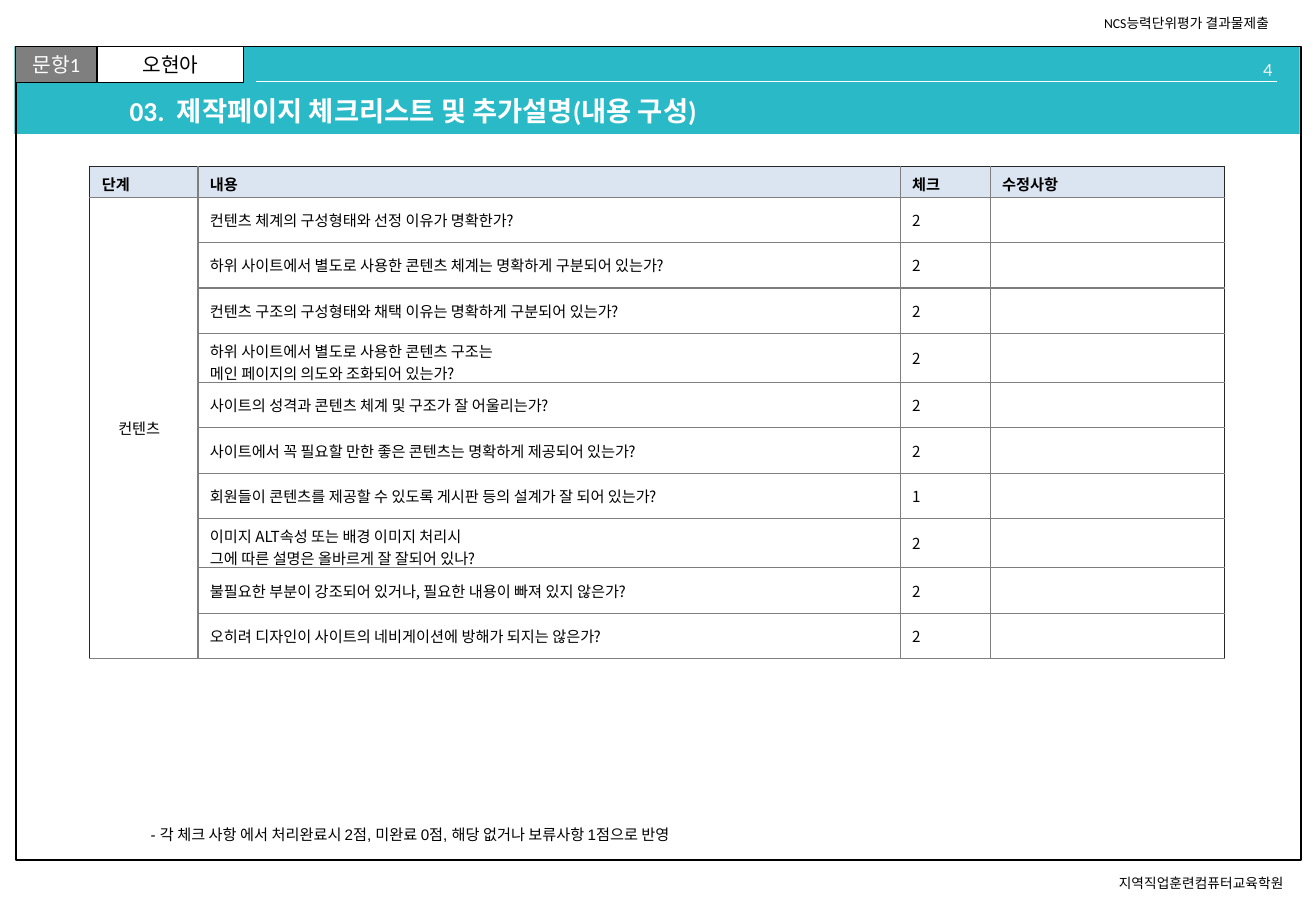
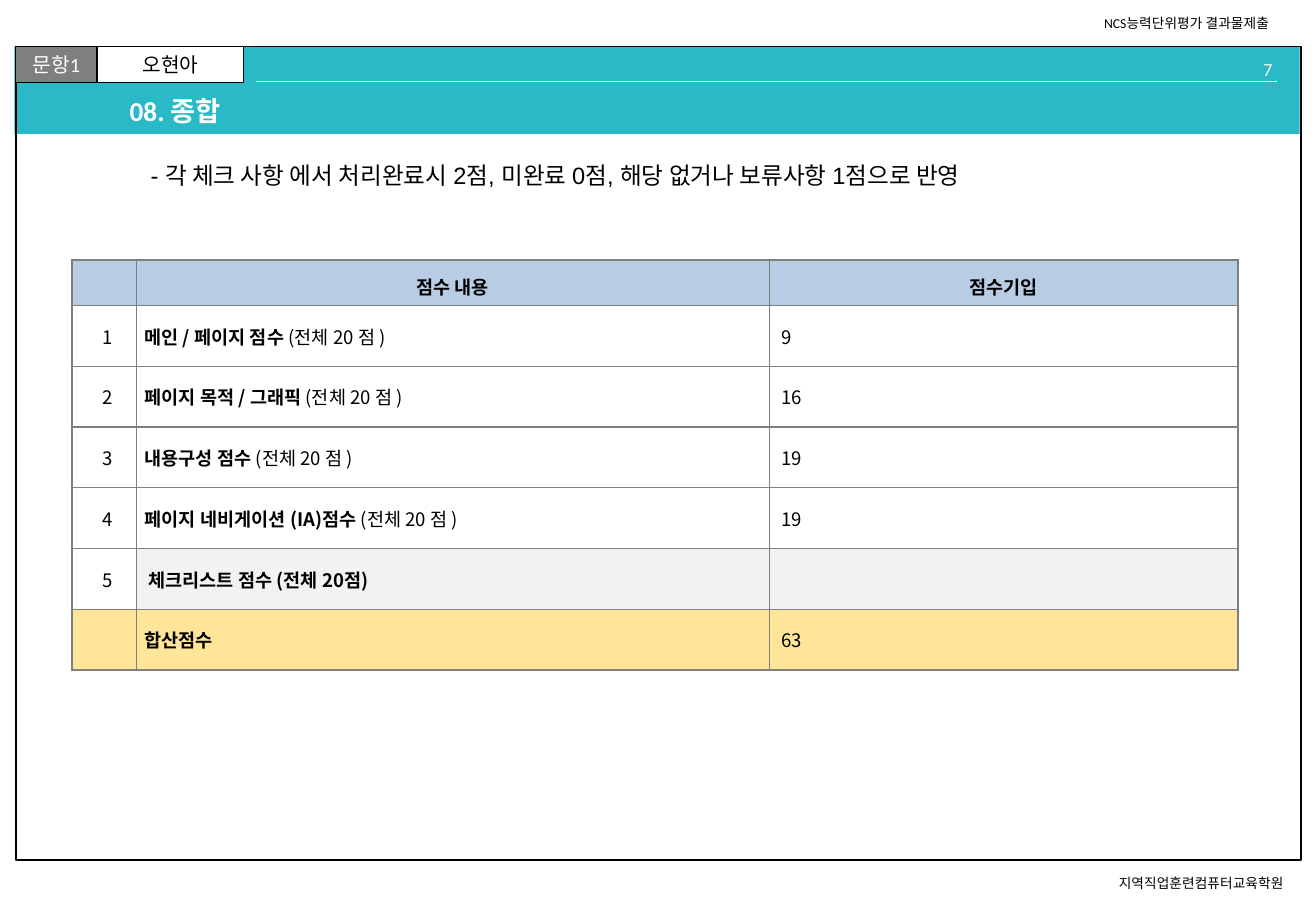
from dataclasses import dataclass

from lxml import etree
from pptx import Presentation
from pptx.dml.color import RGBColor
from pptx.enum import shapes, text
from pptx.oxml import ns
from pptx.util import Cm, Pt

LEFT, CENTER, RIGHT = text.PP_ALIGN.LEFT, text.PP_ALIGN.CENTER, text.PP_ALIGN.RIGHT
TOP, MIDDLE, BOTTOM = text.MSO_ANCHOR.TOP, text.MSO_ANCHOR.MIDDLE, text.MSO_ANCHOR.BOTTOM


@dataclass(frozen=True)
class Theme:
    teal: str = "2AB9C7"
    black: str = "000000"
    white: str = "FFFFFF"
    gray: str = "7F7F7F"
    edge: str = "262626"
    pale: str = "F2F2F2"
    check_head: str = "DBE5F1"
    score_head: str = "B8CCE4"
    total: str = "FEE599"
    body: str = "Calibri"
    note: str = "Arial"
    grid: str = "Noto Sans CJK KR"
    title_size: float = 16.2
    note_size: float = 14
    chip_size: float = 12
    page_size: float = 11
    score_size: float = 11
    check_size: float = 9
    small_size: float = 8.1
    thin: float = 0.75
    thick: float = 1.5


T = Theme()
FRAME = (0.33, 0.97, 26.87, 17.02)
INSETS = (0.25, 0.13, 0.25, 0.13)
NOTE = "- 각 체크 사항 에서 처리완료시 2점, 미완료 0점, 해당 없거나 보류사항 1점으로 반영"


def rgb(color):
    return RGBColor.from_string(color)


def write(tf, content, size, font=T.body, color=T.black, bold=False, align=LEFT, spacing=None):
    tf.word_wrap = True
    lines = [[(line, bold)] for line in content.split("\n")] if isinstance(content, str) else [content]
    for i, runs in enumerate(lines):
        p = tf.add_paragraph() if i else tf.paragraphs[0]
        p.alignment = align
        if spacing:
            p.line_spacing = spacing
        for words, strong in runs:
            if not words:
                etree.SubElement(p._p, ns.qn("a:endParaRPr"), sz=str(int(size * 100)))
                continue
            r = p.add_run()
            r.text = words
            r.font.size, r.font.name, r.font.bold = Pt(size), font, strong
            r.font.color.rgb = rgb(color)
            if font == T.grid:
                etree.SubElement(r.font._element, ns.qn("a:ea"), typeface=font)


def set_insets(target, insets=INSETS):
    target.margin_left, target.margin_top, target.margin_right, target.margin_bottom = map(Cm, insets)


def add_text(s, box, content, size, anchor=TOP, **fmt):
    tf = s.shapes.add_textbox(*map(Cm, box)).text_frame
    set_insets(tf)
    tf.vertical_anchor = anchor
    write(tf, content, size, **fmt)


def add_rect(s, box, fill=None, line=None, width=T.thin):
    sp = s.shapes.add_shape(shapes.MSO_SHAPE.RECTANGLE, *map(Cm, box))
    sp.shadow.inherit = False
    if fill:
        sp.fill.solid()
        sp.fill.fore_color.rgb = rgb(fill)
    else:
        sp.fill.background()
    if line:
        sp.line.color.rgb = rgb(line)
        sp.line.width = Pt(width)
    else:
        sp.line.fill.background()
    return sp


def add_chip(s, box, label, fill, color):
    tf = add_rect(s, box, fill, T.black).text_frame
    set_insets(tf)
    tf.vertical_anchor = TOP
    write(tf, label, T.chip_size, color=color, align=CENTER)


def add_rule(s, x1, x2, y):
    line = s.shapes.add_connector(shapes.MSO_CONNECTOR.STRAIGHT, Cm(x1), Cm(y), Cm(x2), Cm(y))
    line.line.color.rgb = rgb(T.white)
    line.line.width = Pt(T.thin)
    etree.SubElement(line._element.spPr, ns.qn("a:effectLst"))


def add_page_frame(s, box, page, title):
    x, y, w, h = box
    add_rect(s, (x - 0.03, y, w, 1.83), T.teal)
    add_rect(s, box, line=T.black, width=1)
    add_text(s, (x + w - 4.06, y + h + 0.17, 4.27, 0.61), "지역직업훈련컴퓨터교육학원", T.small_size)
    add_text(s, (x + w - 4.37, y - 0.79, 4.37, 0.61), "NCS능력단위평가 결과물제출", T.small_size)
    add_chip(s, (x, y, 1.7, 0.76), "문항1", T.gray, T.white)
    add_chip(s, (x + 1.7, y, 3.07, 0.76), "오현아", T.white, T.black)
    add_text(s, (x + w - 3.35, y + 0.12, 3, 0.51), page, T.page_size, color=T.pale, align=RIGHT)
    add_rule(s, x + 5.03, x + w - 0.5, y + 0.73)
    add_text(s, (x + 2.13, y + 0.96, 22.25, 0.86), title, T.title_size, MIDDLE,
             color=T.white, bold=True, spacing=0.9)


def set_borders(cell, outer, color, width):
    tc_pr = cell._tc.get_or_add_tcPr()
    for side in "LRTB":
        ln = etree.SubElement(tc_pr, ns.qn("a:ln" + side), w=str(Pt(width if side in outer else T.thin)))
        fill = etree.SubElement(ln, ns.qn("a:solidFill"))
        etree.SubElement(fill, ns.qn("a:srgbClr"), val=color if side in outer else T.gray)


def add_grid(s, left, top, widths, heights, edges, color, width):
    frame = s.shapes.add_table(len(heights), len(widths), Cm(left), Cm(top),
                               Cm(sum(widths)), Cm(sum(heights)))
    table = frame.table
    table.first_row = table.horz_banding = False
    for column, size in zip(table.columns, widths):
        column.width = Cm(size)
    for row, size in zip(table.rows, heights):
        row.height = Cm(size)
    last_row, last_col = len(heights) - 1, len(widths) - 1
    for i in range(last_row + 1):
        for j in range(last_col + 1):
            touching = {"L": j == 0, "R": j == last_col, "T": i == 0, "B": i == last_row}
            set_borders(table.cell(i, j), [e for e in edges if touching[e]], color, width)
    return table


def fill_cell(cell, content, size, fill, insets=INSETS, anchor=MIDDLE, **fmt):
    cell.fill.solid()
    cell.fill.fore_color.rgb = rgb(fill)
    set_insets(cell, insets)
    cell.vertical_anchor = anchor
    write(cell.text_frame, content, size, T.grid, **fmt)


def add_checklist(s, left, top, heads, stage, checks):
    table = add_grid(s, left, top, (2.26, 14.68, 1.88, 4.9), [0.58] + [0.95] * len(checks),
                     "LRT", T.edge, T.thin)
    for j, head in enumerate(heads):
        fill_cell(table.cell(0, j), head, T.check_size, T.check_head, bold=True)
    for i, (question, points) in enumerate(checks, 1):
        for j, content in enumerate((question, points, ""), 1):
            fill_cell(table.cell(i, j), content, T.check_size, T.white)
    table.cell(1, 0).merge(table.cell(len(checks), 0))
    fill_cell(table.cell(1, 0), stage, T.check_size, T.white, (0.05, 0.13, 0.25, 0.13), align=CENTER)


def add_scores(s, left, top, heads, scores):
    table = add_grid(s, left, top, (1.35, 13.23, 9.8), [0.95] + [1.27] * len(scores),
                     "LRTB", T.gray, T.thick)
    for j, head in enumerate(heads):
        fill_cell(table.cell(0, j), head, T.score_size, T.score_head, anchor=BOTTOM,
                  bold=True, align=CENTER)
    for i, (number, label, points, fill) in enumerate(scores, 1):
        number_fill = fill if fill == T.total else T.white
        label_left = 0.25 if fill == T.pale else 0.17
        fill_cell(table.cell(i, 0), number, T.score_size, number_fill, (0.25, 0.13, 0.1, 0.13),
                  align=CENTER)
        fill_cell(table.cell(i, 1), label, T.score_size, fill, (label_left, 0.13, 0.25, 0.13))
        fill_cell(table.cell(i, 2), points, T.score_size, fill)


def checklist_slide(prs):
    s = prs.slides.add_slide(prs.slide_layouts[6])
    add_page_frame(s, FRAME, "4", "03.  제작페이지 체크리스트 및 추가설명(내용 구성)")
    add_checklist(s, 1.88, 3.48, ("단계", "내용", "체크", "수정사항"), "컨텐츠", [
        ("컨텐츠 체계의 구성형태와 선정 이유가 명확한가?", "2"),
        ("하위 사이트에서 별도로 사용한 콘텐츠 체계는 명확하게 구분되어 있는가?", "2"),
        ("컨텐츠 구조의 구성형태와 채택 이유는 명확하게 구분되어 있는가?", "2"),
        ("하위 사이트에서 별도로 사용한 콘텐츠 구조는\n메인 페이지의 의도와 조화되어 있는가?", "2"),
        ("사이트의 성격과 콘텐츠 체계 및 구조가 잘 어울리는가?", "2"),
        ("사이트에서 꼭 필요할 만한 좋은 콘텐츠는 명확하게 제공되어 있는가?", "2"),
        ("회원들이 콘텐츠를 제공할 수 있도록 게시판 등의 설계가 잘 되어 있는가?", "1"),
        ("이미지 ALT속성 또는 배경 이미지 처리시\n그에 따른 설명은 올바르게 잘 잘되어 있나?", "2"),
        ("불필요한 부분이 강조되어 있거나, 필요한 내용이 빠져 있지 않은가?", "2"),
        ("오히려 디자인이 사이트의 네비게이션에 방해가 되지는 않은가?", "2"),
    ])
    add_text(s, (2.9, 17.12, 22.96, 0.64), NOTE, T.check_size, font=T.note)


def score_slide(prs):
    s = prs.slides.add_slide(prs.slide_layouts[6])
    add_page_frame(s, FRAME, "7", "08. 종합")
    add_text(s, (2.9, 3.23, 22.96, 0.86), NOTE, T.note_size, font=T.note)
    areas = [("메인 / 페이지 점수", "9"), ("페이지 목적 / 그래픽", "16"),
             ("내용구성 점수", "19"), ("페이지 네비게이션 (IA)점수", "19")]
    scores = [(str(i), [(area, True), (" (전체 20 점 )", False)], points, T.white)
              for i, (area, points) in enumerate(areas, 1)]
    scores += [("5", [("체크리스트 점수 (전체 20점)", True)], "", T.pale),
               ("", [("합산점수", True)], "63", T.total)]
    add_scores(s, 1.5, 5.44, ("", "점수 내용", "점수기입"), scores)


prs = Presentation()
prs.slide_width, prs.slide_height = Cm(27.51), Cm(19.05)
checklist_slide(prs)
score_slide(prs)
prs.save("out.pptx")
